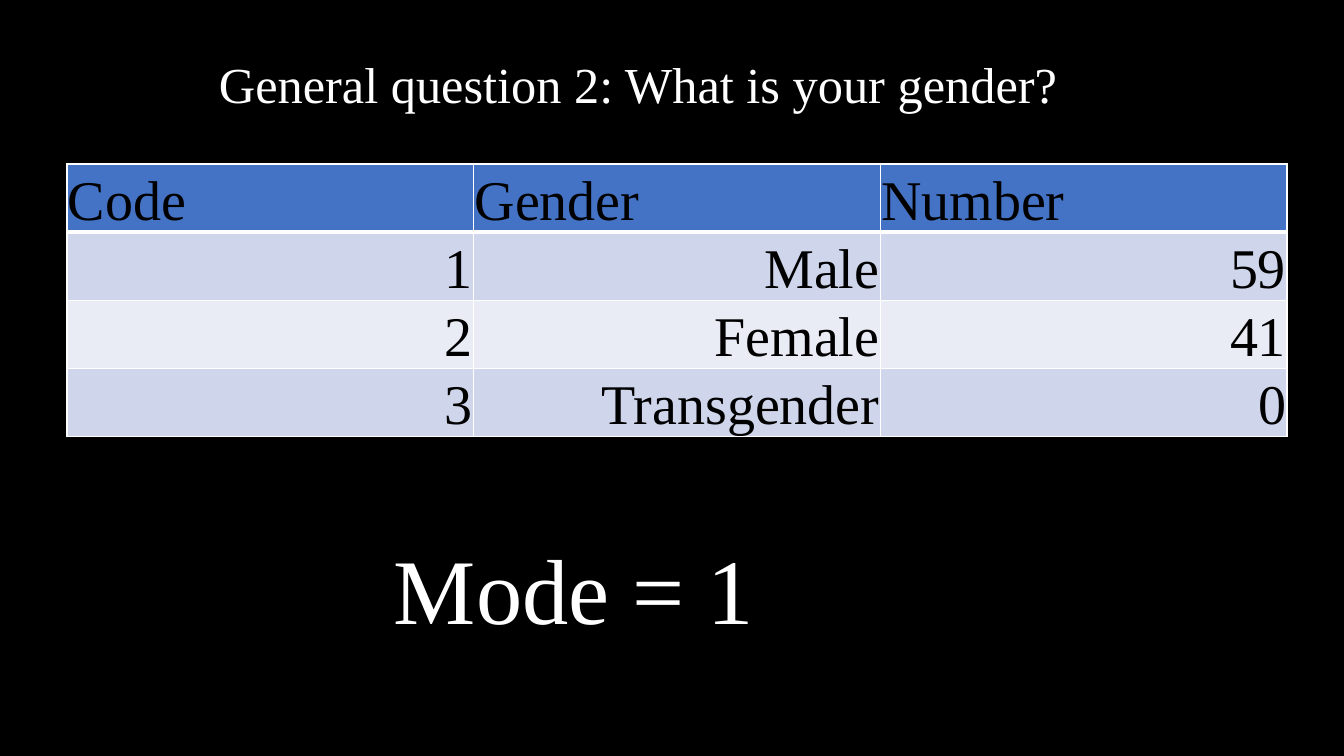
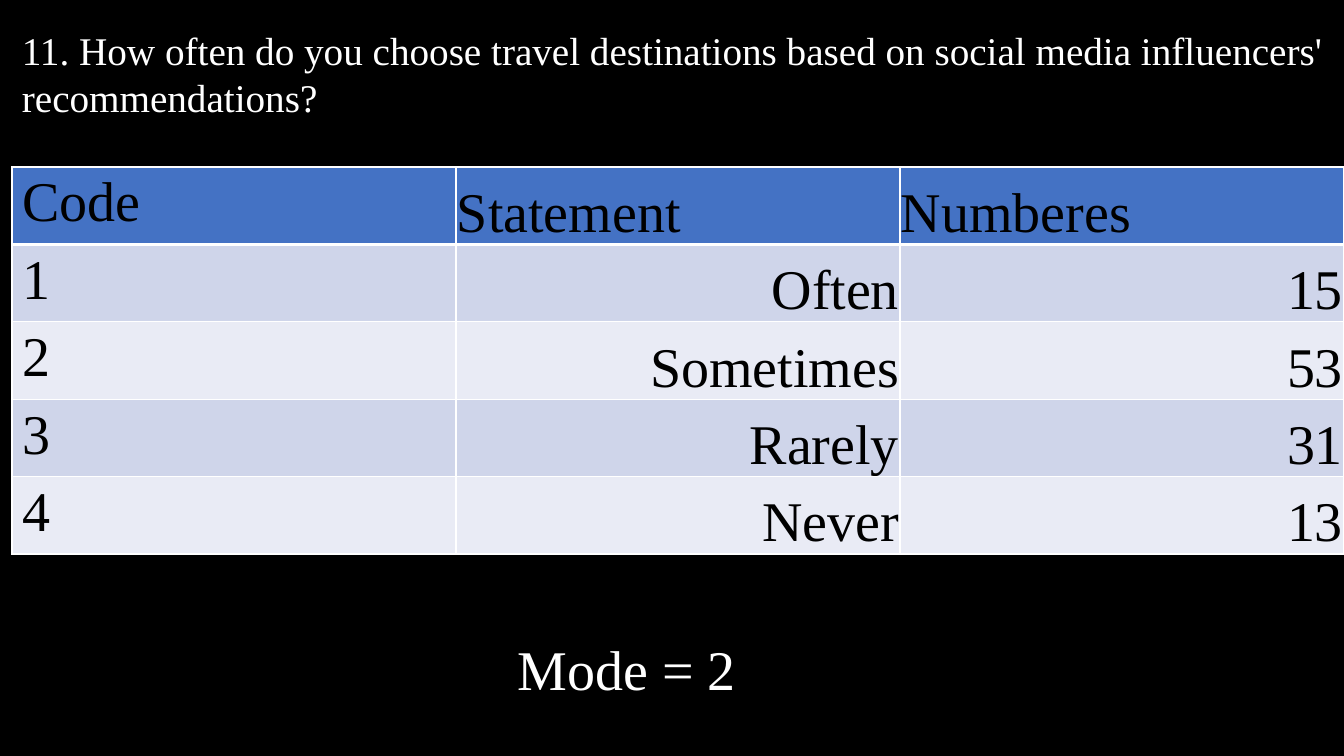
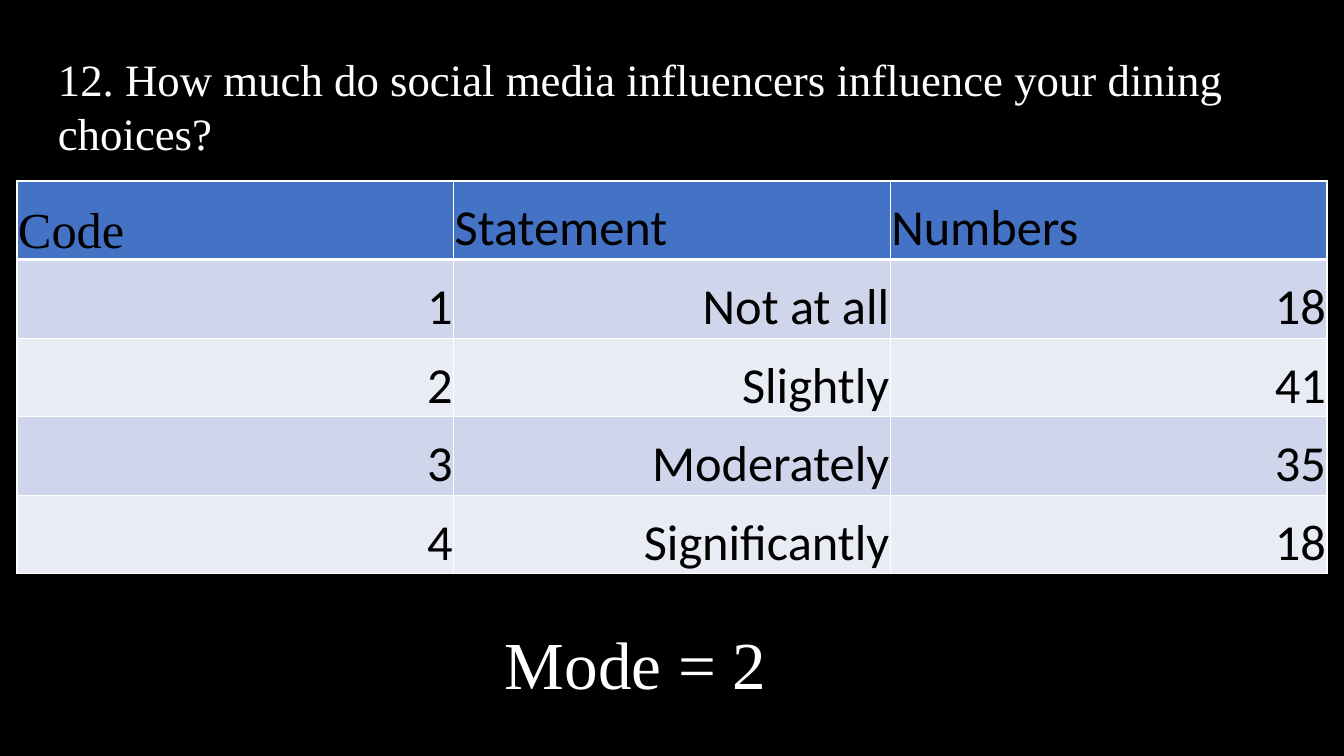
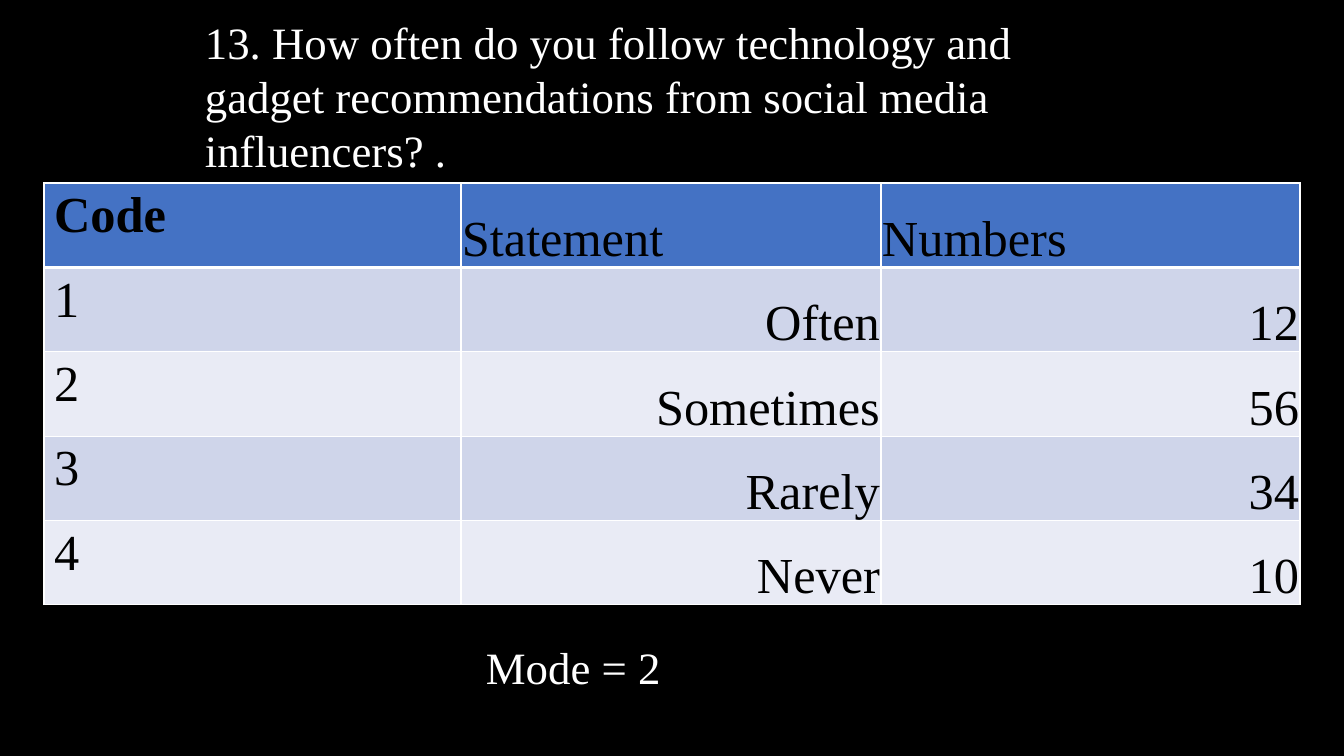
from lxml import etree
from pptx import Presentation
from pptx import util as u
from pptx.dml.color import RGBColor
from pptx.enum import text
from pptx.oxml.ns import qn

PX = 12192000 / 1344
SLIDE_SIZE = (1344, 756)
BLACK = RGBColor(0x00, 0x00, 0x00)
WHITE = RGBColor(0xFF, 0xFF, 0xFF)
HEADER_BLUE = RGBColor(0x44, 0x72, 0xC4)
BANDS = (RGBColor(0xCF, 0xD5, 0xEA), RGBColor(0xE9, 0xEB, 0xF5))
SERIF = "Times New Roman"
SANS = "Calibri"
THIN, THICK = 1, 3


def px(length):
    return u.Emu(round(length * PX))


def write(frame, words, size, color=WHITE, font=SERIF, bold=False,
          align=text.PP_ALIGN.LEFT):
    paragraph = frame.paragraphs[0]
    paragraph.alignment = align
    run = paragraph.add_run()
    run.text = words
    run.font.size = u.Pt(size)
    run.font.name = font
    run.font.bold = bold
    run.font.color.rgb = color


def add_text(slide, box, words, size):
    shape = slide.shapes.add_textbox(*map(px, box))
    frame = shape.text_frame
    frame.word_wrap = True
    frame.auto_size = text.MSO_AUTO_SIZE.SHAPE_TO_FIT_TEXT
    write(frame, words, size)


def set_borders(cell, top, bottom):
    """Draw white cell borders; top and bottom are widths in points."""
    properties = cell._tc.get_or_add_tcPr()
    for side, width in (("L", THIN), ("R", THIN), ("T", top), ("B", bottom)):
        line = etree.SubElement(properties, qn(f"a:ln{side}"), w=str(u.Pt(width)))
        fill = etree.SubElement(line, qn("a:solidFill"))
        etree.SubElement(fill, qn("a:srgbClr"), val=str(WHITE))


def set_tight_bottom(cell):
    cell.vertical_anchor = text.MSO_ANCHOR.BOTTOM
    cell.margin_left = cell.margin_right = cell.margin_top = px(1)
    cell.margin_bottom = 0


def add_answer_table(slide, box, rows, size, font=SERIF, columns=None,
                     padded_codes=False, bold_code=False):
    """Add a header row and banded answers; padded_codes keeps codes at top left."""
    graphic = slide.shapes.add_table(len(rows), len(rows[0]), *map(px, box))
    table = graphic.table
    table.first_row = table.horz_banding = False
    for index, column in enumerate(table.columns):
        column.width = px(columns[index] if columns else box[2] / len(rows[0]))
    for row in table.rows:
        row.height = px(box[3] / len(rows))

    for row_index, row in enumerate(rows):
        header = row_index == 0
        for column_index, words in enumerate(row):
            cell = table.cell(row_index, column_index)
            code_header = header and column_index == 0
            padded = padded_codes and column_index == 0
            if not padded:
                set_tight_bottom(cell)
            set_borders(cell, THICK if row_index == 1 else THIN,
                        THICK if header else THIN)
            cell.fill.solid()
            cell.fill.fore_color.rgb = (
                HEADER_BLUE if header else BANDS[(row_index - 1) % 2])
            write(cell.text_frame, words, size, BLACK,
                  font=SERIF if code_header else font,
                  bold=bold_code and code_header,
                  align=text.PP_ALIGN.LEFT if header or padded
                  else text.PP_ALIGN.RIGHT)


def answer_rows(headings, answers):
    """Number the (answer, count) pairs from 1 below the headings."""
    return [("Code", *headings)] + [
        (str(code), answer, str(count))
        for code, (answer, count) in enumerate(answers, 1)]


def add_question(presentation, title, table, mode):
    slide = presentation.slides.add_slide(presentation.slide_layouts[6])
    add_text(slide, **title)
    add_answer_table(slide, **table)
    add_text(slide, **mode)


def main():
    presentation = Presentation()
    presentation.slide_width, presentation.slide_height = map(px, SLIDE_SIZE)
    background = presentation.slide_master.background.fill
    background.solid()
    background.fore_color.rgb = BLACK

    add_question(
        presentation,
        title=dict(box=(209, 48, 1059, 72), size=36,
                   words="General question 2: What is your gender?"),
        table=dict(box=(67, 164, 1220, 272), size=40, rows=answer_rows(
            ("Gender", "Number"),
            [("Male", 59), ("Female", 41), ("Transgender", 0)])),
        mode=dict(box=(384, 527, 525, 122), size=66, words="Mode = 1"))

    add_question(
        presentation,
        title=dict(box=(12, 21, 1332, 105), size=28,
                   words="11. How often do you choose travel destinations based on "
                         "social media influencers' recommendations?"),
        table=dict(box=(12, 167, 1332, 387), size=40, padded_codes=True,
                   rows=answer_rows(
                       ("Statement", "Numberes"),
                       [("Often", 15), ("Sometimes", 53),
                        ("Rarely", 31), ("Never", 13)])),
        mode=dict(box=(508, 630, 349, 78), size=40, words="Mode = 2"))

    add_question(
        presentation,
        title=dict(box=(48, 47, 1247, 119), size=32,
                   words="12. How much do social media influencers influence "
                         "your dining choices?"),
        table=dict(box=(17, 181, 1310, 393), size=36, font=SANS,
                   rows=answer_rows(
                       ("Statement", "Numbers"),
                       [("Not at all", 18), ("Slightly", 41),
                        ("Moderately", 35), ("Significantly", 18)])),
        mode=dict(box=(495, 617, 576, 92), size=48, words="Mode = 2"))

    add_question(
        presentation,
        title=dict(box=(195, 10, 898, 173), size=32,
                   words="13. How often do you follow technology and gadget "
                         "recommendations from social media influencers? ."),
        table=dict(box=(44, 183, 1256, 422), size=36, columns=(417, 420, 419),
                   padded_codes=True, bold_code=True, rows=answer_rows(
                       ("Statement", "Numbers"),
                       [("Often", 12), ("Sometimes", 56),
                        ("Rarely", 34), ("Never", 10)])),
        mode=dict(box=(476, 635, 435, 65), size=32, words="Mode = 2"))

    presentation.save("out.pptx")


if __name__ == "__main__":
    main()
